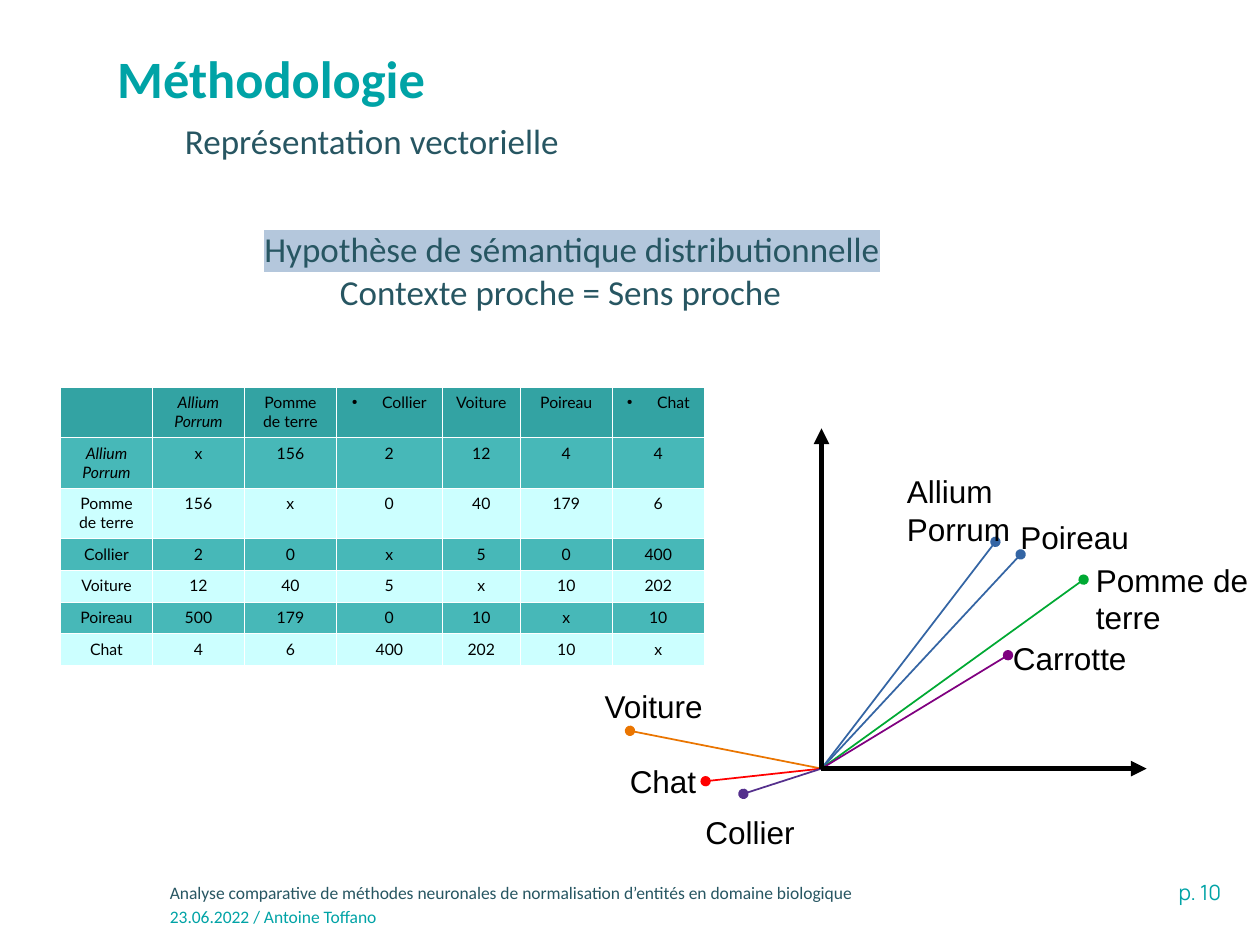
from lxml import etree
from pptx import Presentation
from pptx.dml.color import RGBColor
from pptx.enum.shapes import MSO_CONNECTOR
from pptx.enum.text import MSO_ANCHOR, PP_ALIGN
from pptx.oxml.ns import qn
from pptx.util import Inches, Pt

LEFT, CENTER, RIGHT = PP_ALIGN.LEFT, PP_ALIGN.CENTER, PP_ALIGN.RIGHT
TOP, MIDDLE = MSO_ANCHOR.TOP, MSO_ANCHOR.MIDDLE
STRAIGHT = MSO_CONNECTOR.STRAIGHT

TEAL = RGBColor(0x00, 0xA3, 0xA6)
SLATE = RGBColor(0x27, 0x56, 0x62)
BLACK = RGBColor(0, 0, 0)
WHITE = RGBColor(0xFF, 0xFF, 0xFF)
PALE = RGBColor(0xB4, 0xC7, 0xDC)
HEAD = RGBColor(0x33, 0xA3, 0xA3)
DARK = RGBColor(0x47, 0xB8, 0xB8)
LIGHT = RGBColor(0xCC, 0xFF, 0xFF)
BLUE = RGBColor(0x34, 0x65, 0xA4)
GREEN = RGBColor(0x00, 0xA9, 0x33)
PURPLE = RGBColor(0x80, 0x00, 0x80)
ORANGE = RGBColor(0xEA, 0x75, 0x00)
RED = RGBColor(0xFF, 0, 0)
VIOLET = RGBColor(0x55, 0x30, 0x8D)

NAMES = ["Allium Porrum", "Pomme de terre", "Collier", "Voiture", "Poireau", "Chat"]
COUNTS = [
    ["x", "156", "2", "12", "4", "4"],
    ["156", "x", "0", "40", "179", "6"],
    ["2", "0", "x", "5", "0", "400"],
    ["12", "40", "5", "x", "10", "202"],
    ["500", "179", "0", "10", "x", "10"],
    ["4", "6", "400", "202", "10", "x"],
]
WIDTHS = [0.73, 0.73, 0.73, 0.84, 0.62, 0.73, 0.73]
HEIGHTS = [0.4, 0.4, 0.4] + [0.25] * 4
BULLETED = ("Collier", "Chat")

# word, tip of its vector, colour, box of its label
VECTORS = [
    ("Allium Porrum", (7.9, 4.3), BLUE, (7.1, 3.7, 1.1, 0.66)),
    ("Poireau", (8.1, 4.4), BLUE, (8, 4.06, 1.3, 0.66)),
    ("Pomme de terre", (8.6, 4.6), GREEN, (8.6, 4.4, 1.5, 0.94)),
    ("Carrotte", (8, 5.2), PURPLE, (7.94, 5.02, 1.1, 0.38)),
    ("Voiture", (5, 5.8), ORANGE, (4.7, 5.4, 2.5, 0.38)),
    ("Chat", (5.6, 6.2), RED, (4.9, 6, 1.4, 0.38)),
    ("Collier", (5.9, 6.3), VIOLET, (5.5, 6.4, 1.4, 0.38)),
]


def add_xml(parent, tag, **attrs):
    return etree.SubElement(parent, qn(tag), attrs)


def add_color(parent, tag, color):
    add_xml(add_xml(parent, tag), "a:srgbClr", val=str(color))


def write(frame, text, size=18, font="Calibri", color=BLACK, bold=False,
          italic=False, align=LEFT, space=None, before=None, mark=None):
    para = frame.paragraphs[0]
    para.alignment = align
    if space:
        para.line_spacing = space
    if before:
        para.space_before = Pt(before)
    run = para.add_run()
    run.text = text
    style = run.font
    style.size, style.name = Pt(size), font
    style.bold, style.italic = bold, italic
    style.color.rgb = color
    if mark:
        props = run.font._element
        add_color(props, "a:highlight", mark)
        # The schema wants the highlight before the typeface
        props.find(qn("a:latin")).addprevious(props[-1])
    return para


def add_text(slide, box, text, anchor=TOP, inset=0.1, **fmt):
    frame = slide.shapes.add_textbox(*map(Inches, box)).text_frame
    frame.word_wrap = True
    frame.vertical_anchor = anchor
    frame.margin_left = Inches(inset)
    write(frame, text, **fmt)


def add_line(slide, start, end, color, width, tip):
    line = slide.shapes.add_connector(STRAIGHT, *map(Inches, start + end))
    line.line.color.rgb = color
    line.line.width = Pt(width)
    add_xml(line.line._get_or_add_ln(), "a:tailEnd", type=tip)
    add_xml(line._element.spPr, "a:effectLst")


def add_bullet(para):
    props = para._p.get_or_add_pPr()
    props.set("marL", str(Inches(0.24)))
    props.set("indent", str(-Inches(0.24)))
    add_color(props, "a:buClr", BLACK)
    add_xml(props, "a:buSzPct", val="45000")
    add_xml(props, "a:buChar", char="●")


def add_border(cell):
    """Draw white hairlines on all four sides, ahead of the cell fill."""
    props = cell._tc.get_or_add_tcPr()
    for index, side in enumerate(("a:lnL", "a:lnR", "a:lnT", "a:lnB")):
        edge = add_xml(props, side, w="720")
        add_color(edge, "a:solidFill", WHITE)
        props.insert(index, edge)


def add_matrix(slide, box):
    """Place the table of shared contexts between words."""
    rows = [[""] + NAMES] + [[name] + row for name, row in zip(NAMES, COUNTS)]
    table = slide.shapes.add_table(len(rows), len(WIDTHS), *map(Inches, box)).table
    table.first_row = table.horz_banding = False
    for col, width in zip(table.columns, WIDTHS):
        col.width = Inches(width)
    for r, (row, height) in enumerate(zip(rows, HEIGHTS)):
        table.rows[r].height = Inches(height)
        for c, text in enumerate(row):
            cell = table.cell(r, c)
            cell.fill.solid()
            cell.fill.fore_color.rgb = HEAD if r == 0 else DARK if r % 2 else LIGHT
            add_border(cell)
            para = write(cell.text_frame, text, size=9, font="Lato",
                         italic=text == NAMES[0], align=CENTER)
            if r == 0 and text in BULLETED:
                add_bullet(para)


def add_graph(slide, origin):
    """Draw the word vectors and both axes from the origin."""
    x, y = origin
    for word, tip, color, box in VECTORS:
        add_line(slide, origin, tip, color, 1, "oval")
        add_text(slide, box, word, font="Arial")
    for end in ((x + 2.58, y), (x, y - 2.7)):
        add_line(slide, origin, end, BLACK, 3, "triangle")


def add_header(slide):
    add_text(slide, (0.93, 0.16, 8.38, 0.97), "Méthodologie", anchor=MIDDLE,
             inset=0, size=30, color=TEAL, bold=True, space=0.9)
    add_text(slide, (1.37, 0.94, 7.94, 0.74), "Représentation vectorielle",
             size=20, color=SLATE, space=0.9, before=10)


def add_claim(slide):
    add_text(slide, (2, 1.76, 7.54, 0.42), "Hypothèse de sémantique distributionnelle",
             size=20, color=SLATE, mark=PALE)
    add_text(slide, (2.6, 2.1, 7.54, 0.42), "Contexte proche = Sens proche",
             size=20, color=SLATE)


def add_footer(slide):
    add_text(slide, (7.51, 6.93, 2.28, 0.3), "p. 10", size=12, font="Manrope",
             color=TEAL, align=RIGHT)
    add_text(slide, (1.25, 6.95, 7.75, 0.27),
             "Analyse comparative de méthodes neuronales de normalisation "
             "d’entités en domaine biologique", size=10, color=SLATE)
    add_text(slide, (1.25, 7.14, 7.34, 0.26), "23.06.2022 / Antoine Toffano",
             size=10, color=TEAL)


def main():
    deck = Presentation()
    deck.slide_width, deck.slide_height = Inches(10), Inches(7.5)
    slide = deck.slides.add_slide(deck.slide_layouts[6])
    add_footer(slide)
    add_header(slide)
    add_claim(slide)
    add_matrix(slide, (0.48, 3.07, 5.12, 2.2))
    add_graph(slide, (6.52, 6.1))
    deck.save("out.pptx")


if __name__ == "__main__":
    main()
